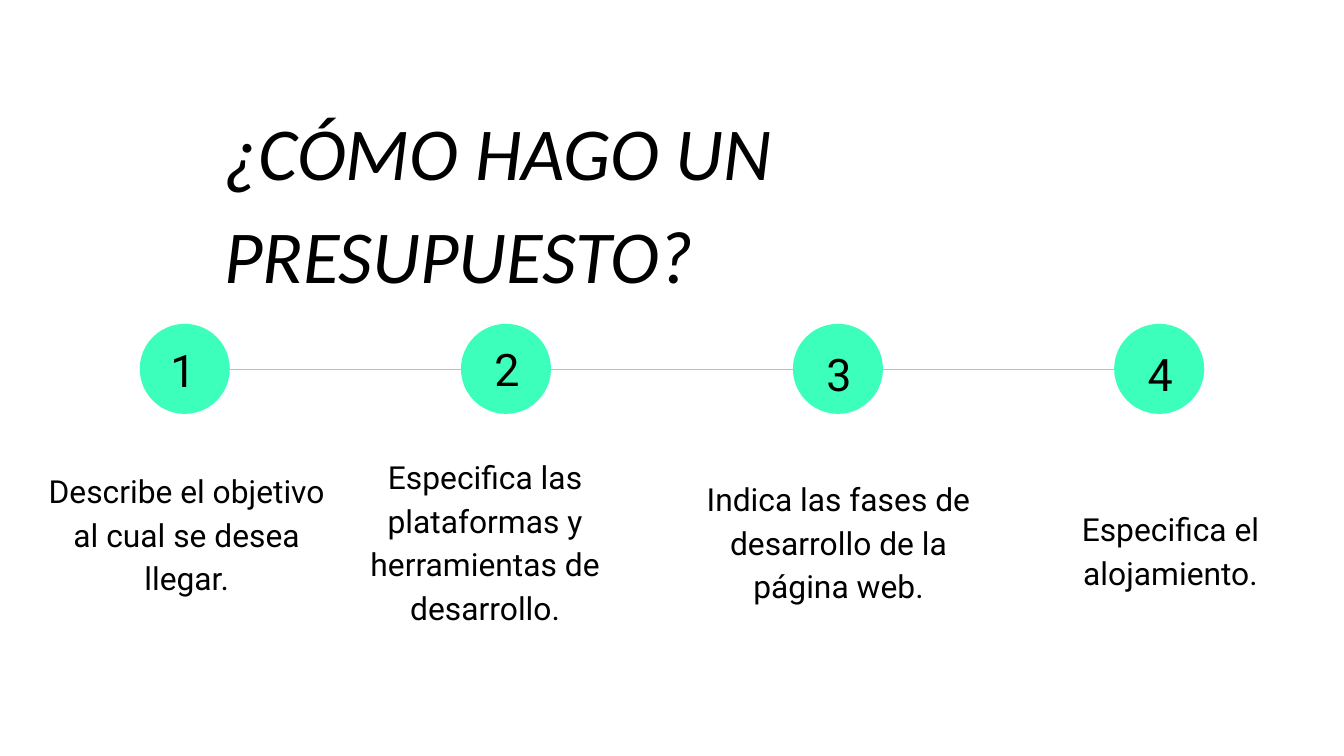
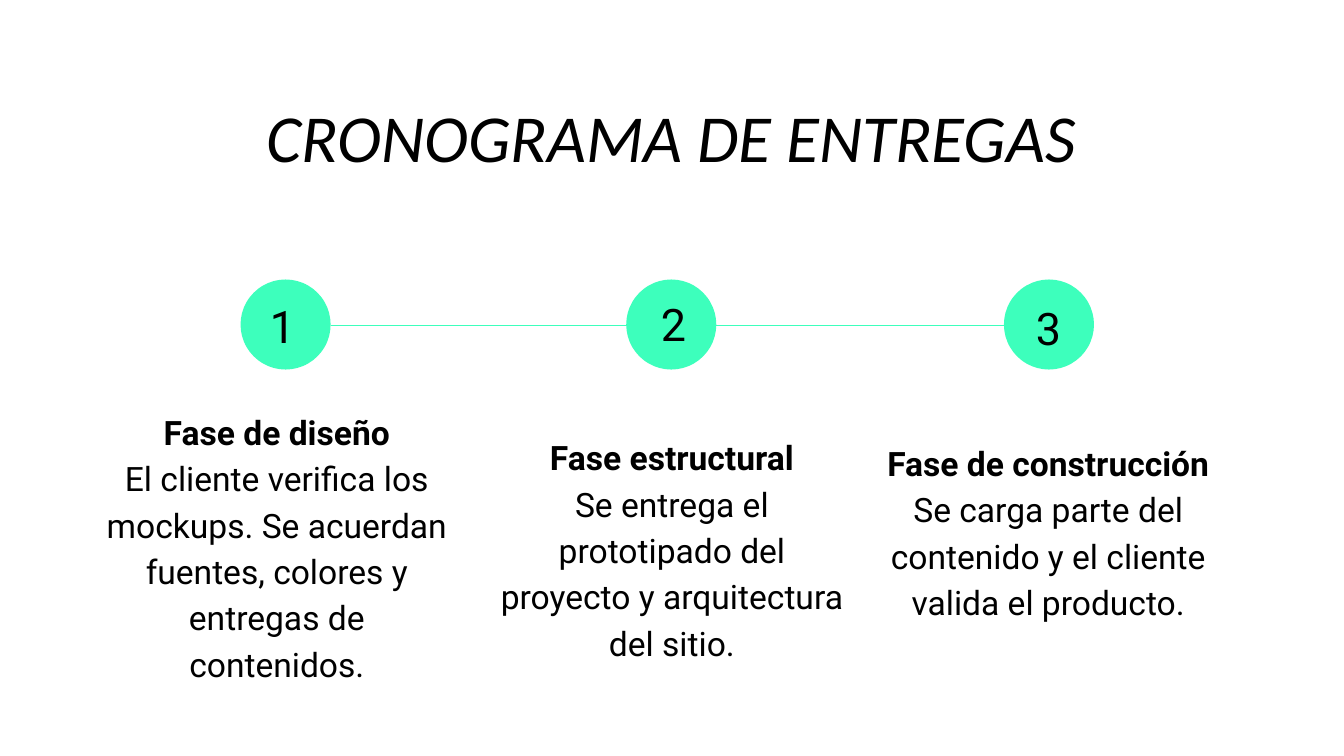
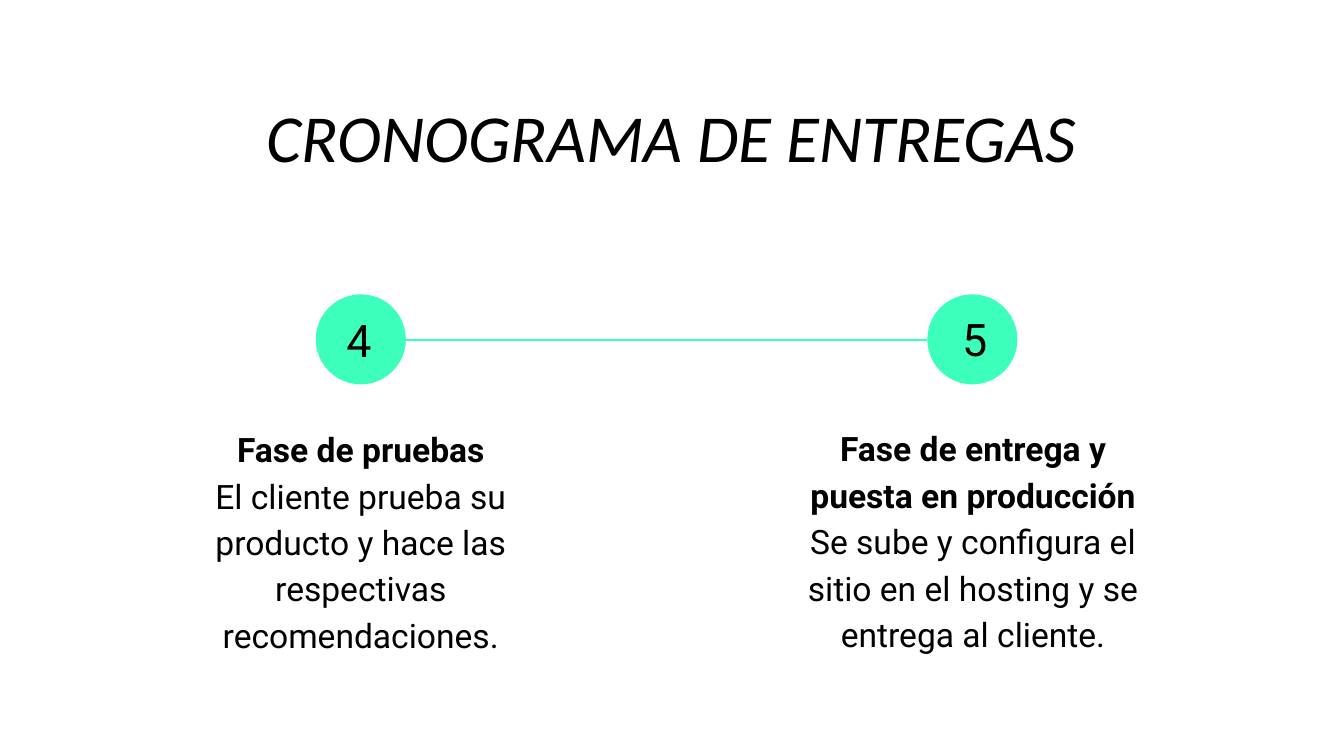
from pptx import Presentation
from pptx import util as u
from pptx.dml.color import RGBColor
from pptx.enum import shapes, text
from pptx.oxml.ns import qn
from lxml import etree

MINT = RGBColor(0x3D, 0xFF, 0xBC)
BLACK = RGBColor(0, 0, 0)
HEAD, BODY = "Calibri", "Roboto"
SCALE = 9144
WIDE = 1000
DOT, PAD, LINE = 67, 10, 35

BUDGET = [
    (104, "1", (117, 245, 40), (26, 337, 226, 117),
     ["Describe el objetivo al cual se desea llegar."]),
    (343, "2", (358, 244, 40), (224, 343, 274, 117),
     ["Especifica las plataformas y herramientas de desarrollo."]),
    (590, "3", (605, 248, 34), (511, 343, 226, 117),
     ["Indica las fases de desarrollo de la página web."]),
    (829, "4", (844, 248, 34), (758, 349, 226, 117),
     ["Especifica el alojamiento."]),
]
BUILD = [
    (179, "1", (191, 212, 40), (67, 347, 278, 117),
     ["Fase de diseño",
      "El cliente verifica los mockups. Se acuerdan fuentes, colores y entregas de contenidos."]),
    (466, "2", (482, 211, 40), (361, 366, 278, 117),
     ["Fase estructural",
      "Se entrega el prototipado del proyecto y arquitectura del sitio."]),
    (747, "3", (761, 214, 34), (641, 353, 278, 117),
     ["Fase de construcción",
      "Se carga parte del contenido y el cliente valida el producto."]),
]
LAUNCH = [
    (235, "4", (248, 223, 40), (140, 360, 257, 117),
     ["Fase de pruebas",
      "El cliente prueba su producto y hace las respectivas recomendaciones."]),
    (690, "5", (706, 222, 40), (585, 325, 278, 186),
     ["Fase de entrega y puesta en producción",
      "Se sube y configura el sitio en el hosting y se entrega al cliente."]),
]


def px(num):
    """Turn px into EMU."""
    return u.Emu(num * SCALE)


def write(slide, box, lines, size, font=BODY, align=text.PP_ALIGN.LEFT,
          space=1.0, mid=False, slant=False, foot=PAD):
    """Add a text box; with two lines the first is bold."""
    frame = slide.shapes.add_textbox(*map(px, box)).text_frame
    frame.word_wrap = True
    frame.margin_left = frame.margin_right = frame.margin_top = px(PAD)
    frame.margin_bottom = px(foot)
    frame.vertical_anchor = text.MSO_ANCHOR.MIDDLE if mid else text.MSO_ANCHOR.TOP
    frame.text = "\n".join(lines)
    for row, para in enumerate(frame.paragraphs):
        para.alignment = align
        para.line_spacing = space
        for run in para.runs:
            run.font.name = font
            run.font.size = u.Pt(size)
            run.font.color.rgb = BLACK
            run.font.italic = slant
            run.font.bold = len(lines) > 1 and row == 0


def title(slide, box, words, size, **style):
    """Add an italic slide title."""
    write(slide, box, [words], size, HEAD, slant=True, **style)


def link(slide, start, end, mid):
    """Draw a level line between two dots."""
    line = slide.shapes.add_connector(
        shapes.MSO_CONNECTOR.STRAIGHT, px(start), px(mid), px(end), px(mid))
    line.line.color.rgb = MINT
    line.line.width = u.Pt(0.75)
    etree.SubElement(line._element.spPr, qn("a:effectLst"))


def dot(slide, left, top):
    """Draw a round step marker."""
    mark = slide.shapes.add_shape(
        shapes.MSO_SHAPE.OVAL, px(left), px(top), px(DOT), px(DOT))
    mark.shadow.inherit = False
    mark.fill.solid()
    mark.fill.fore_color.rgb = MINT
    mark.line.fill.background()


def steps(slide, items, mid, pairs, size, raised=()):
    """Draw linked numbered steps, lifting the raised captions half a line."""
    for one, two in pairs:
        link(slide, items[one][0] + DOT, items[two][0], mid)
    for left, num, (x, y, high), box, lines in items:
        dot(slide, left, mid - (DOT + 1) // 2)
        write(slide, (x, y, 30, high), [num], 24)
        write(slide, box, lines, size, align=text.PP_ALIGN.CENTER, space=1.15,
              mid=True, foot=PAD + LINE if num in raised else PAD)


def main():
    """Build and save the deck."""
    deck = Presentation()
    deck.slide_width = px(WIDE)
    deck.slide_height = px(WIDE) * 9 // 16
    blank = deck.slide_layouts[6]

    slide = deck.slides.add_slide(blank)
    steps(slide, BUDGET, 275, [(0, 2), (2, 3)], 17)
    title(slide, (157, 59, 685, 108), "¿CÓMO HAGO UN PRESUPUESTO?", 40, space=1.15)

    for items, mid, last, raised in ((BUILD, 242, 2, "23"), (LAUNCH, 253, 1, "45")):
        slide = deck.slides.add_slide(blank)
        steps(slide, items, mid, [(0, last)], 18, raised)
        title(slide, (143, 61, 713, 108), "CRONOGRAMA DE ENTREGAS", 36,
              align=text.PP_ALIGN.CENTER)

    deck.save("out.pptx")


if __name__ == "__main__":
    main()
